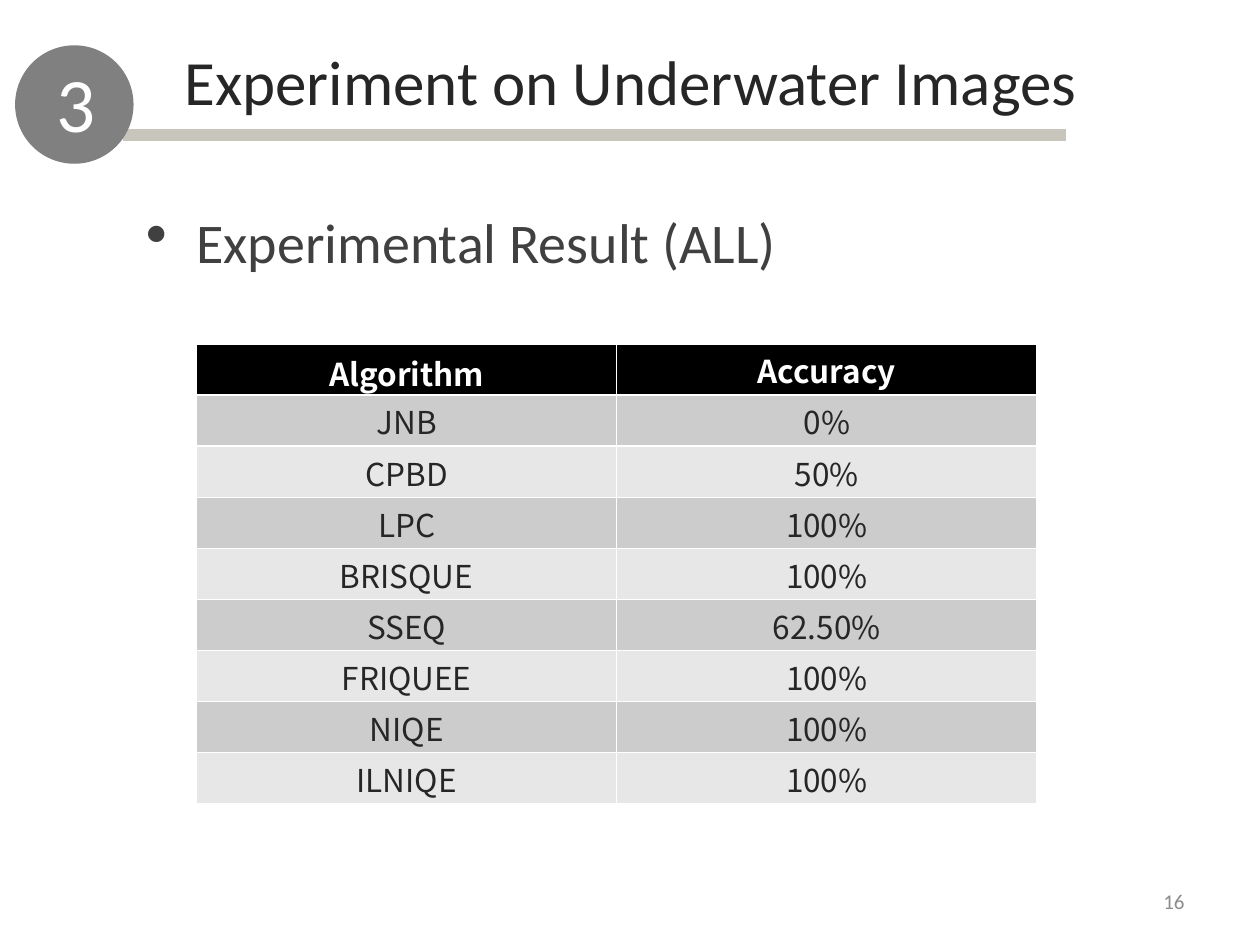
import pptx
import pptx.dml.color
import pptx.enum.shapes
import pptx.enum.text
import pptx.oxml
import pptx.oxml.ns
import pptx.util

RGBColor = pptx.dml.color.RGBColor
Inches = pptx.util.Inches
PP_ALIGN = pptx.enum.text.PP_ALIGN
MSO_ANCHOR = pptx.enum.text.MSO_ANCHOR

WHITE = RGBColor(0xFF, 0xFF, 0xFF)
BLACK = RGBColor(0x00, 0x00, 0x00)
INK = RGBColor(0x26, 0x26, 0x26)
BODY_GRAY = RGBColor(0x40, 0x40, 0x40)
BADGE_GRAY = RGBColor(0x80, 0x80, 0x80)
NUMBER_GRAY = RGBColor(0x8C, 0x8C, 0x8C)
RULE_BEIGE = RGBColor(0xC8, 0xC5, 0xBC)
BAND_DARK = RGBColor(0xCC, 0xCC, 0xCC)
BAND_LIGHT = RGBColor(0xE7, 0xE7, 0xE7)

SLIDE_WIDTH = Inches(10)
SLIDE_HEIGHT = Inches(7.5)
TEXT_FONT = "Calibri"
TABLE_FONT = "Noto Sans CJK SC"

RESULTS = [
    ("Algorithm", "Accuracy"),
    ("JNB", "0%"),
    ("CPBD", "50%"),
    ("LPC", "100%"),
    ("BRISQUE", "100%"),
    ("SSEQ", "62.50%"),
    ("FRIQUEE", "100%"),
    ("NIQE", "100%"),
    ("ILNIQE", "100%"),
]


def add_run(paragraph, text, size, color, font=TEXT_FONT, bold=False):
    run = paragraph.add_run()
    run.text = text
    run.font.name = font
    run.font.size = pptx.util.Pt(size)
    run.font.bold = bold
    run.font.color.rgb = color


def add_text(slide, box, text, size, color, align=PP_ALIGN.LEFT, anchor=MSO_ANCHOR.TOP):
    frame = slide.shapes.add_textbox(*map(Inches, box)).text_frame
    frame.word_wrap = True
    frame.vertical_anchor = anchor
    paragraph = frame.paragraphs[0]
    paragraph.alignment = align
    add_run(paragraph, text, size, color)
    return paragraph


def add_bullet(paragraph, indent, size_percent):
    properties = paragraph._p.get_or_add_pPr()
    properties.set("marL", str(Inches(indent)))
    properties.set("indent", str(-Inches(indent)))
    for tag, name, value in (
        ("a:buSzPct", "val", str(size_percent * 1000)),
        ("a:buChar", "char", "•"),
    ):
        element = pptx.oxml.parse_xml(f"<{tag} {pptx.oxml.ns.nsdecls('a')}/>")
        element.set(name, value)
        properties.append(element)


def add_rule(slide, left, right, top):
    connector = slide.shapes.add_connector(
        pptx.enum.shapes.MSO_CONNECTOR.STRAIGHT,
        Inches(left), Inches(top), Inches(right), Inches(top),
    )
    connector.line.color.rgb = RULE_BEIGE
    connector.line.width = pptx.util.Pt(7)
    effects = pptx.oxml.parse_xml(f"<a:effectLst {pptx.oxml.ns.nsdecls('a')}/>")
    connector._element.spPr.append(effects)


def add_badge(slide, left, top, diameter):
    shape = slide.shapes.add_shape(
        pptx.enum.shapes.MSO_SHAPE.OVAL,
        Inches(left), Inches(top), Inches(diameter), Inches(diameter),
    )
    shape.shadow.inherit = False
    shape.fill.solid()
    shape.fill.fore_color.rgb = BADGE_GRAY
    shape.line.fill.background()


def fill_cell(cell, text, fill, color, bold):
    cell.fill.solid()
    cell.fill.fore_color.rgb = fill
    cell.vertical_anchor = MSO_ANCHOR.MIDDLE
    cell.margin_left = cell.margin_right = cell.margin_top = Inches(0.01)
    cell.margin_bottom = 0
    paragraph = cell.text_frame.paragraphs[0]
    paragraph.alignment = PP_ALIGN.CENTER
    add_run(paragraph, text, 18, color, TABLE_FONT, bold)


def add_results_table(slide, left, top, width, height):
    table = slide.shapes.add_table(
        len(RESULTS), len(RESULTS[0]),
        Inches(left), Inches(top), Inches(width), Inches(height),
    ).table
    for row, values in enumerate(RESULTS):
        header = row == 0
        band = BAND_DARK if row % 2 else BAND_LIGHT
        for column, text in enumerate(values):
            fill_cell(
                table.cell(row, column), text,
                BLACK if header else band, WHITE if header else INK, header,
            )
    corner = table.cell(0, 0)
    corner.vertical_anchor = MSO_ANCHOR.TOP
    corner.margin_top = Inches(0.05)


def main():
    presentation = pptx.Presentation()
    presentation.slide_width = SLIDE_WIDTH
    presentation.slide_height = SLIDE_HEIGHT
    slide = presentation.slides.add_slide(presentation.slide_layouts[6])

    add_text(slide, (0.83, 0.29, 8.35, 0.71), "Experiment on Underwater Images",
             36, INK, PP_ALIGN.CENTER)
    add_rule(slide, 0.98, 8.46, 1.07)
    add_badge(slide, 0.12, 0.36, 0.94)
    add_text(slide, (0.35, 0.39, 0.71, 0.84), "3", 44, WHITE)
    add_results_table(slide, 1.56, 2.73, 6.67, 3.65)
    heading = add_text(slide, (1.06, 1.6, 7.95, 0.65), "Experimental Result (ALL)",
                       32, BODY_GRAY)
    add_bullet(heading, 0.4, 112)
    add_text(slide, (7.17, 6.95, 2.33, 0.4), "16", 12, NUMBER_GRAY,
             PP_ALIGN.RIGHT, MSO_ANCHOR.MIDDLE)
    presentation.save("out.pptx")


if __name__ == "__main__":
    main()
